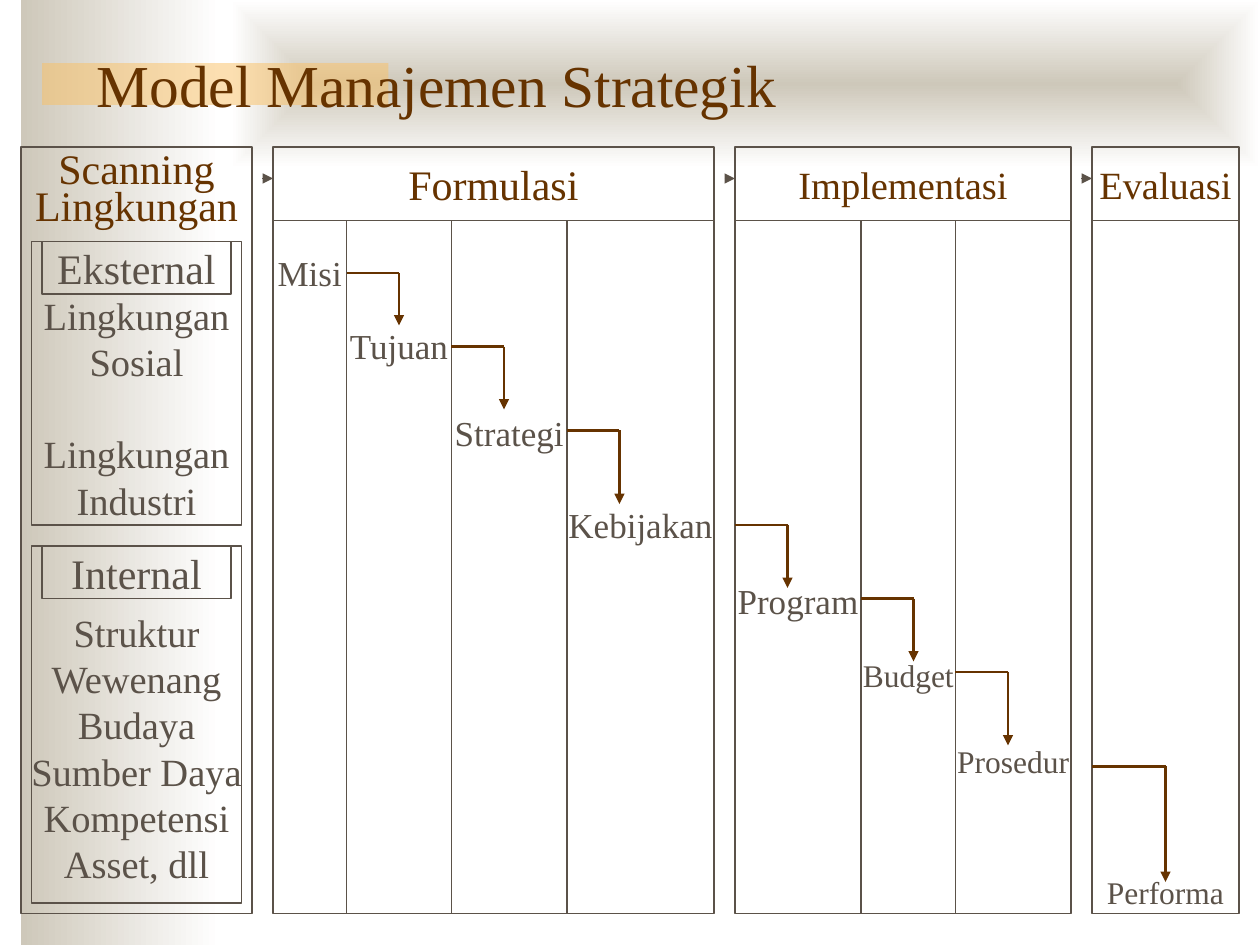
"""Build the strategic management model slide: four phases joined by stepped arrows."""
from dataclasses import dataclass
from itertools import accumulate

from lxml import etree
from pptx import Presentation
from pptx import util as u
from pptx.dml.color import RGBColor
from pptx.enum import shapes, text
from pptx.oxml.ns import qn

PX = 7620


@dataclass(frozen=True)
class Theme:
    font: str = "Times New Roman"
    brown: str = "663300"
    grey: str = "5B5249"
    sand: str = "CEC8BA"
    white: str = "FFFFFF"
    amber: str = "FAC164"
    title: int = 34
    heading: int = 24
    subheading: int = 22
    step: int = 20
    small_step: int = 18
    list_pitch: float = 26.4
    frame: float = 1
    thin: float = 0.75
    thick: float = 1.5


@dataclass(frozen=True)
class Box:
    left: int
    top: int
    width: int
    height: int


@dataclass(frozen=True)
class Step:
    label: str
    width: int
    centre: int
    size: int


@dataclass(frozen=True)
class Phase:
    name: str
    left: int
    size: int
    steps: tuple[Step, ...]


@dataclass(frozen=True)
class Factor:
    name: str
    top: int
    height: int
    inset: int
    groups: tuple[tuple[str, ...], ...]


@dataclass(frozen=True)
class Elbow:
    left: int
    top: int
    across: int
    down: int


THEME = Theme()
HEAD_TOP, HEAD_HEIGHT, FRAME_HEIGHT = 140, 70, 730
COLUMN_TOP = HEAD_TOP + HEAD_HEIGHT

PHASES = (
    Phase("Formulasi", 260, THEME.heading, (
        Step("Misi", 70, 258, THEME.step),
        Step("Tujuan", 100, 327, THEME.step),
        Step("Strategi", 110, 410, THEME.step),
        Step("Kebijakan", 140, 498, THEME.step))),
    Phase("Implementasi", 700, THEME.subheading, (
        Step("Program", 120, 570, THEME.step),
        Step("Budget", 90, 642, THEME.small_step),
        Step("Prosedur", 110, 724, THEME.small_step))),
    Phase("Evaluasi", 1040, THEME.subheading, (
        Step("Performa", 140, 848, THEME.small_step),)),
)
FACTORS = (
    Factor("Eksternal", 230, 270, 48, (("Lingkungan", "Sosial"), ("Lingkungan", "Industri"))),
    Factor("Internal", 520, 340, 60, (
        ("Struktur", "Wewenang", "Budaya", "Sumber Daya", "Kompetensi", "Asset, dll"),)),
)
ELBOWS = (
    Elbow(330, 260, 50, 50),
    Elbow(430, 330, 50, 60),
    Elbow(540, 410, 50, 70),
    Elbow(700, 500, 50, 60),
    Elbow(820, 570, 50, 60),
    Elbow(910, 640, 50, 70),
    Elbow(1040, 730, 70, 110),
)


def px(length: int) -> u.Emu:
    return u.Emu(length * PX)


def rgb(colour: str) -> RGBColor:
    return RGBColor.from_string(colour)


def write(paragraph, words: str, size: int, colour: str) -> None:
    run = paragraph.add_run()
    run.text = words
    run.font.name = THEME.font
    run.font.size = u.Pt(size)
    run.font.color.rgb = rgb(colour)


def centred_frame(shape, inset: int = 0):
    frame = shape.text_frame
    frame.word_wrap = False
    frame.vertical_anchor = text.MSO_ANCHOR.TOP if inset else text.MSO_ANCHOR.MIDDLE
    frame.margin_left = frame.margin_right = frame.margin_bottom = 0
    frame.margin_top = px(inset)
    frame.paragraphs[0].alignment = text.PP_ALIGN.CENTER
    return frame


def label(shape, words: str, size: int, colour: str, inset: int = 0) -> None:
    write(centred_frame(shape, inset).paragraphs[0], words, size, colour)


def rectangle(slide, box: Box, width: float = 0):
    shape = slide.shapes.add_shape(
        shapes.MSO_SHAPE.RECTANGLE, px(box.left), px(box.top), px(box.width), px(box.height))
    shape.shadow.inherit = False
    shape.fill.background()
    if width:
        shape.line.color.rgb = rgb(THEME.grey)
        shape.line.width = u.Pt(width)
    else:
        shape.line.fill.background()
    return shape


def line(slide, start: tuple[int, int], end: tuple[int, int],
         colour: str, width: float, arrow: bool = False) -> None:
    connector = slide.shapes.add_connector(
        shapes.MSO_CONNECTOR.STRAIGHT, *map(px, start + end))
    connector.line.color.rgb = rgb(colour)
    connector.line.width = u.Pt(width)
    properties = connector._element.spPr
    if arrow:
        etree.SubElement(properties.find(qn("a:ln")), qn("a:tailEnd"), type="triangle")
    etree.SubElement(properties, qn("a:effectLst"))


def gradient(slide, box: Box, from_centre: bool = False) -> None:
    shape = rectangle(slide, box)
    shape.fill.gradient()
    shape.fill.gradient_angle = 0
    for stop, colour in zip(shape.fill.gradient_stops, (THEME.sand, THEME.white)):
        stop.color.rgb = rgb(colour)
    if from_centre:
        linear = shape._element.spPr.find(qn("a:gradFill")).find(qn("a:lin"))
        spread = etree.Element(qn("a:path"), path="shape")
        etree.SubElement(spread, qn("a:fillToRect"), dict.fromkeys("ltrb", "50000"))
        linear.getparent().replace(linear, spread)


def backdrop(slide) -> None:
    gradient(slide, Box(20, 0, 190, 900))
    gradient(slide, Box(220, 0, 980, 160), from_centre=True)
    accent = rectangle(slide, Box(40, 60, 330, 40))
    accent.fill.solid()
    accent.fill.fore_color.rgb = rgb(THEME.amber)
    tint = accent._element.spPr.find(qn("a:solidFill"))[0]
    etree.SubElement(tint, qn("a:alpha"), val="50000")


def heading(slide, words: str) -> None:
    title = slide.shapes.title
    slide.shapes._spTree.append(title._element)
    title.left, title.top, title.width, title.height = map(px, (80, 30, 1020, 90))
    frame = title.text_frame
    frame.auto_size = text.MSO_AUTO_SIZE.NONE
    frame.vertical_anchor = text.MSO_ANCHOR.BOTTOM
    frame.paragraphs[0].alignment = text.PP_ALIGN.LEFT
    write(frame.paragraphs[0], words, THEME.title, THEME.brown)


def scanning(slide) -> None:
    rectangle(slide, Box(20, HEAD_TOP, 220, FRAME_HEIGHT), THEME.frame)
    for words, box in (("Scanning", Box(40, 140, 180, 40)), ("Lingkungan", Box(30, 170, 200, 50))):
        caption = slide.shapes.add_textbox(*map(px, (box.left, box.top, box.width, box.height)))
        label(caption, words, THEME.heading, THEME.brown)


def factor_box(slide, factor: Factor) -> None:
    panel = rectangle(slide, Box(30, factor.top, 200, factor.height), THEME.frame)
    frame = centred_frame(panel, factor.inset)
    for g, group in enumerate(factor.groups):
        for i, words in enumerate(group):
            paragraph = frame.add_paragraph() if g or i else frame.paragraphs[0]
            paragraph.alignment = text.PP_ALIGN.CENTER
            paragraph.line_spacing = u.Pt(THEME.list_pitch)
            if g and not i:
                paragraph.space_before = u.Pt(THEME.list_pitch)
            write(paragraph, words, THEME.subheading, THEME.grey)
    tab = rectangle(slide, Box(40, factor.top, 180, 50), THEME.frame)
    label(tab, factor.name, THEME.heading, THEME.grey)


def phase_columns(slide, phase: Phase) -> None:
    widths = [step.width for step in phase.steps]
    head = rectangle(slide, Box(phase.left, HEAD_TOP, sum(widths), HEAD_HEIGHT), THEME.frame)
    label(head, phase.name, phase.size, THEME.brown)
    for step, left in zip(phase.steps, accumulate(widths, initial=phase.left)):
        column = rectangle(
            slide, Box(left, COLUMN_TOP, step.width, FRAME_HEIGHT - HEAD_HEIGHT), THEME.thin)
        inset = round(step.centre - 0.92 * step.size) - COLUMN_TOP
        label(column, step.label, step.size, THEME.grey, inset)
    line(slide, (phase.left - 10, 170), (phase.left, 170), THEME.grey, THEME.thin, arrow=True)


def elbow_arrow(slide, elbow: Elbow) -> None:
    corner = (elbow.left + elbow.across, elbow.top)
    line(slide, (elbow.left, elbow.top), corner, THEME.brown, THEME.thick)
    line(slide, corner, (corner[0], elbow.top + elbow.down), THEME.brown, THEME.thick, arrow=True)


def main() -> None:
    deck = Presentation()
    deck.slide_width, deck.slide_height = px(1200), px(900)
    slide = deck.slides.add_slide(deck.slide_layouts[5])
    backdrop(slide)
    heading(slide, "Model Manajemen Strategik")
    scanning(slide)
    for factor in FACTORS:
        factor_box(slide, factor)
    for phase in PHASES:
        phase_columns(slide, phase)
    for elbow in ELBOWS:
        elbow_arrow(slide, elbow)
    deck.save("out.pptx")


if __name__ == "__main__":
    main()
